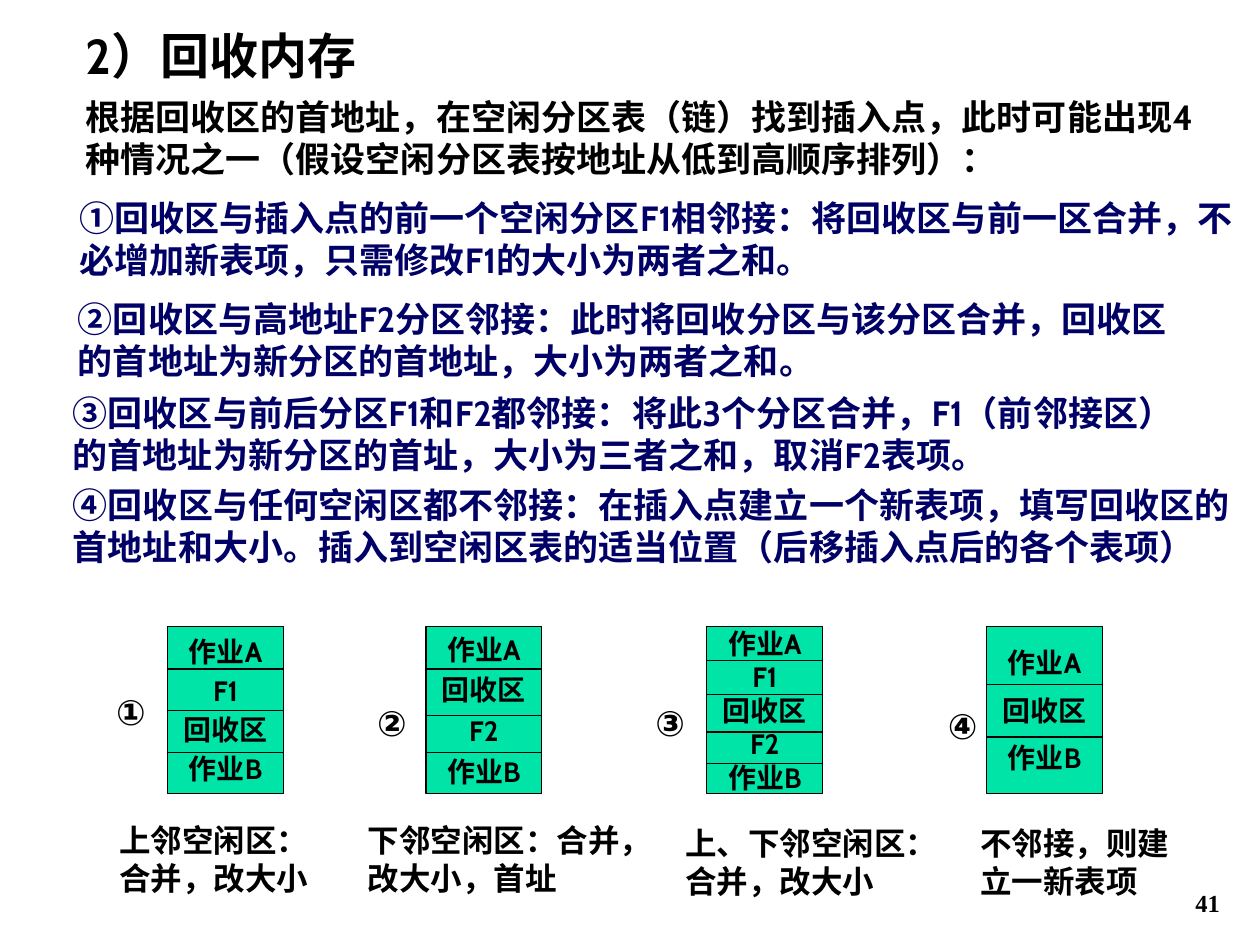
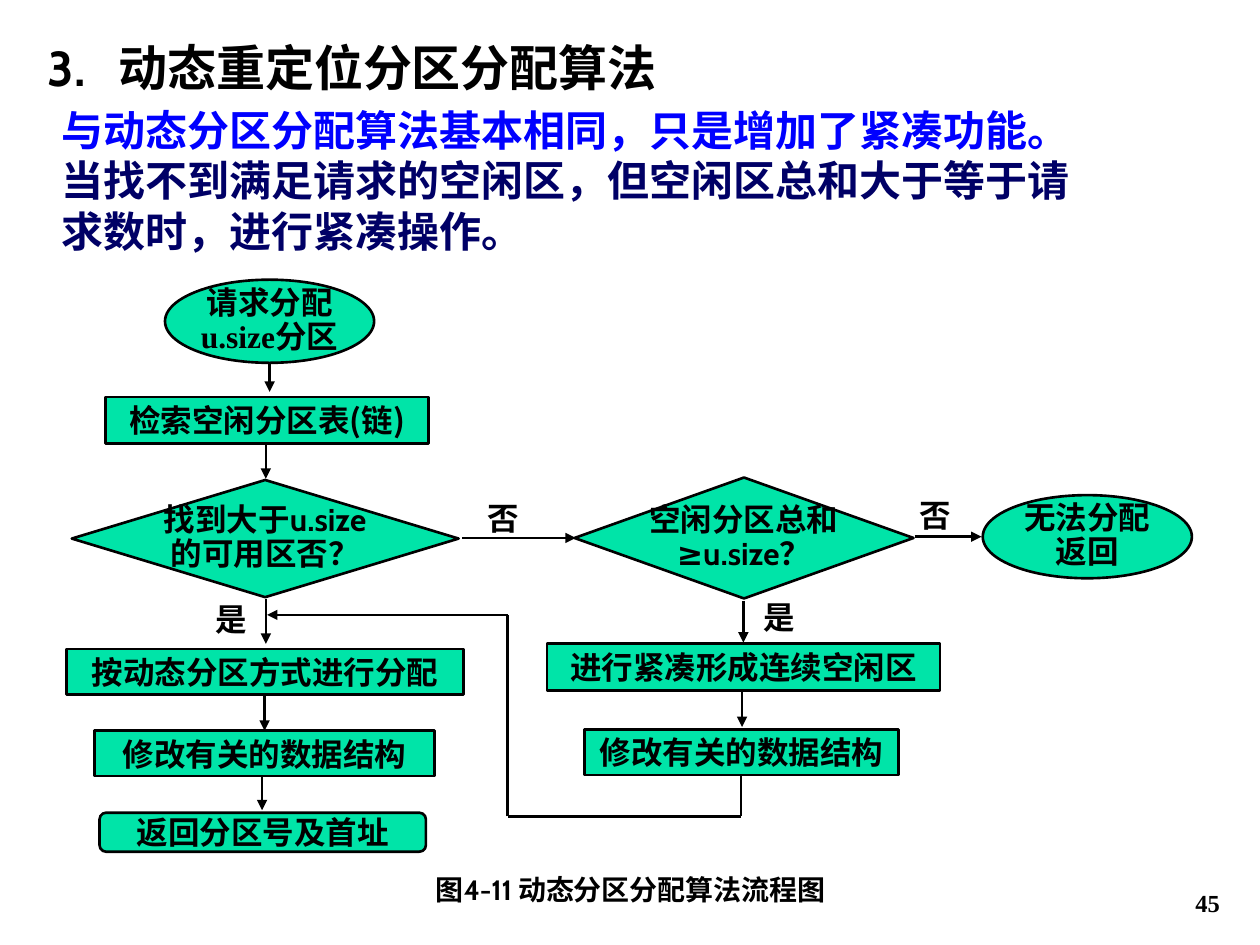
"""Build two slides on memory reclamation and relocatable partition allocation."""
from dataclasses import dataclass
from itertools import pairwise

from lxml.etree import SubElement
from pptx import Presentation
from pptx.dml.color import RGBColor
from pptx.enum.shapes import MSO_CONNECTOR, MSO_SHAPE
from pptx.enum.text import MSO_ANCHOR, MSO_AUTO_SIZE, PP_ALIGN
from pptx.oxml.ns import qn
from pptx.util import Inches, Pt


@dataclass(frozen=True)
class Theme:
    black: RGBColor = RGBColor(0, 0, 0)
    navy: RGBColor = RGBColor(0, 0, 0x66)
    blue: RGBColor = RGBColor(0, 0, 0xFF)
    green: RGBColor = RGBColor(0, 0xE4, 0xA8)
    font: str = "Cabin"
    wide_font: str = "Noto Sans CJK SC"
    serif: str = "Times New Roman"
    title: int = 28
    lead: int = 24
    body: int = 20
    label: int = 18
    small: int = 16
    number: int = 14
    thin: float = 0.75
    thick: float = 1.5


class SlideBuilder:
    def __init__(self, theme):
        self.theme = theme
        self.deck = Presentation()
        self.deck.slide_width = Inches(10)
        self.deck.slide_height = Inches(7.5)
        self.page = None

    def start_page(self, title, place, number, hanging=0):
        self.page = self.deck.slides.add_slide(self.deck.slide_layouts[5])
        box = self.page.shapes.title
        box.left, box.top, box.width, box.height = map(Inches, place)
        frame = box.text_frame
        self.add_lines(frame, [title], self.theme.title)
        frame.auto_size = MSO_AUTO_SIZE.NONE
        frame.vertical_anchor = MSO_ANCHOR.TOP
        if hanging:
            properties = frame.paragraphs[0]._p.get_or_add_pPr()
            properties.set("marL", str(Inches(hanging)))
            properties.set("indent", str(-Inches(hanging)))
        self.text([number], (7.7, 6.83, 2.08, 0.5), self.theme.number,
                  align=PP_ALIGN.RIGHT, font=self.theme.serif, anchor=MSO_ANCHOR.BOTTOM)

    def add_lines(self, frame, lines, size, color=None, align=PP_ALIGN.LEFT,
                  font=None, gap=0, spacing=1.0):
        for index, line in enumerate(lines):
            para = frame.add_paragraph() if index else frame.paragraphs[0]
            para.alignment = align
            para.line_spacing = spacing
            para.space_before = Pt(gap if index else 0)
            spans = [(line, font)] if isinstance(line, str) else line
            for words, face in spans:
                span = para.add_run()
                span.text = words
                span.font.size = Pt(size)
                span.font.bold = True
                span.font.color.rgb = color or self.theme.black
                span.font.name = face or self.theme.font
                SubElement(span.font._element, qn("a:ea"), typeface=self.theme.font)

    def set_insets(self, frame, side, end):
        frame.margin_left = frame.margin_right = Inches(side)
        frame.margin_top = frame.margin_bottom = Inches(end)

    def text(self, lines, place, size, insets=(0.1, 0.05), anchor=MSO_ANCHOR.TOP, **style):
        box = self.page.shapes.add_textbox(*map(Inches, place))
        frame = box.text_frame
        frame.word_wrap = True
        frame.vertical_anchor = anchor
        self.set_insets(frame, *insets)
        self.add_lines(frame, lines, size, **style)
        return box

    def block(self, kind, place, lines, size, weight, **style):
        shape = self.page.shapes.add_shape(kind, *map(Inches, place))
        shape.shadow.inherit = False
        shape.fill.solid()
        shape.fill.fore_color.rgb = self.theme.green
        shape.line.color.rgb = self.theme.black
        shape.line.width = Pt(weight)
        frame = shape.text_frame
        frame.word_wrap = False
        frame.vertical_anchor = MSO_ANCHOR.MIDDLE
        self.set_insets(frame, 0.02, 0)
        self.add_lines(frame, lines, size, align=PP_ALIGN.CENTER, **style)

    def line(self, start, end, weight, arrow=False):
        connector = self.page.shapes.add_connector(
            MSO_CONNECTOR.STRAIGHT, *map(Inches, (*start, *end)))
        connector.line.color.rgb = self.theme.black
        connector.line.width = Pt(weight)
        properties = connector._element.spPr
        if arrow:
            SubElement(properties.find(qn("a:ln")), qn("a:tailEnd"), type="triangle")
        SubElement(properties, qn("a:effectLst"))

    def memory_map(self, left, regions, dividers, gap, marker, marker_place):
        top, width, height = 4.97, 0.92, 1.33
        self.block(MSO_SHAPE.FLOWCHART_PROCESS, (left, top, width, height),
                   regions, self.theme.small, self.theme.thin, gap=gap)
        for level in dividers:
            self.line((left, level), (left + width, level), self.theme.thin)
        self.text([marker], (*marker_place, 0.42, 0.36), self.theme.body,
                  insets=(0.02, 0.01), align=PP_ALIGN.CENTER)


def build_reclaim_page(builder):
    theme = builder.theme
    builder.start_page("2）回收内存", (0.58, 0.15, 4.08, 0.57), "41")
    builder.text(["根据回收区的首地址，在空闲分区表（链）找到插入点，此时可能出现4"
                  "种情况之一（假设空闲分区表按地址从低到高顺序排列）："],
                 (0.58, 0.71, 9.15, 0.77), theme.body)
    cases = [
        (0.53, 1.51, 9.47, "①回收区与插入点的前一个空闲分区F1相邻接：将回收区与前一区合并，"
                           "不必增加新表项，只需修改F1的大小为两者之和。"),
        (0.52, 2.31, 8.99, "②回收区与高地址F2分区邻接：此时将回收分区与该分区合并，"
                           "回收区的首地址为新分区的首地址，大小为两者之和。"),
        (0.48, 3.06, 9.14, "③回收区与前后分区F1和F2都邻接：将此3个分区合并，"
                           "F1（前邻接区）的首地址为新分区的首址，大小为三者之和，取消F2表项。"),
        (0.48, 3.79, 9.52, "④回收区与任何空闲区都不邻接：在插入点建立一个新表项，填写回收区的"
                           "首地址和大小。插入到空闲区表的适当位置（后移插入点后的各个表项）"),
    ]
    for left, top, width, words in cases:
        builder.text([words], (left, top, width, 0.77), theme.body, color=theme.navy)

    first, last, freed = "作业A", "作业B", "回收区"
    maps = [
        (1.33, [first, "F1", freed, last], [5.31, 5.64, 5.97], 3.2, "①", (0.83, 5.47)),
        (3.38, [first, freed, "F2", last], [5.31, 5.68, 5.97], 4, "②", (2.9, 5.56)),
        (5.61, [first, "F1", freed, "F2", last], [5.24, 5.51, 5.81, 6.06], 0,
         "③", (5.11, 5.56)),
        (7.83, [first, freed, last], [5.43, 5.85], 8, "④", (7.43, 5.58)),
    ]
    for memory_map in maps:
        builder.memory_map(*memory_map)

    captions = [
        (0.85, 6.47, 1.8, "上邻空闲区：合并，改大小"),
        (2.82, 6.47, 2.33, "下邻空闲区：合并，改大小，首址"),
        (5.34, 6.49, 1.99, "上、下邻空闲区：合并，改大小"),
        (7.68, 6.49, 1.73, "不邻接，则建立一新表项"),
    ]
    for left, top, width, words in captions:
        builder.text([words], (left, top, width, 0.71), theme.label, font=theme.serif)


def build_flowchart_page(builder):
    theme = builder.theme
    builder.start_page("3.\t动态重定位分区分配算法", (0.28, 0.25, 5.96, 0.63), "45", hanging=0.56)
    lead = builder.text(["与动态分区分配算法基本相同，只是增加了紧凑功能。",
                         "当找不到满足请求的空闲区，但空闲区总和大于等于请求数时，进行紧凑操作。"],
                        (0.39, 0.78, 8.5, 1.3), theme.lead, color=theme.navy, font=theme.wide_font)
    lead.text_frame.paragraphs[0].runs[0].font.color.rgb = theme.blue

    process, decision = MSO_SHAPE.FLOWCHART_PROCESS, MSO_SHAPE.FLOWCHART_DECISION
    steps = [
        (MSO_SHAPE.OVAL, (1.31, 2.22, 1.66, 0.66),
         ["请求分配", [("u.size", theme.serif), ("分区", theme.font)]]),
        (process, (0.84, 3.15, 2.56, 0.37), [[("检索空闲分区表(链)", theme.wide_font)]]),
        (decision, (0.57, 3.81, 3.07, 0.93), ["找到大于u.size", "的可用区否？"]),
        (process, (0.53, 5.15, 3.15, 0.36), ["按动态分区方式进行分配"]),
        (process, (0.75, 5.8, 2.7, 0.36), ["修改有关的数据结构"]),
        (MSO_SHAPE.FLOWCHART_ALTERNATE_PROCESS, (0.79, 6.45, 2.59, 0.31), ["返回分区号及首址"]),
        (decision, (4.56, 3.79, 2.69, 0.96), ["空闲分区总和", "≥u.size？"]),
        (process, (4.34, 5.11, 3.12, 0.37), ["进行紧凑形成连续空闲区"]),
        (process, (4.64, 5.79, 2.49, 0.36), ["修改有关的数据结构"]),
        (MSO_SHAPE.OVAL, (7.8, 3.93, 1.66, 0.66), ["无法分配", "返回"]),
    ]
    for kind, place, lines in steps:
        builder.block(kind, place, lines, theme.label, theme.thick,
                      spacing=0.9 if len(lines) > 1 else 1.0)

    arrows = [
        ((2.14, 2.88), (2.14, 3.11)), ((2.11, 3.52), (2.11, 3.8)),
        ((2.11, 4.75), (2.11, 5.11)), ((2.1, 5.51), (2.1, 5.8)),
        ((2.08, 6.16), (2.08, 6.43)), ((3.67, 4.27), (4.57, 4.27)),
        ((5.9, 4.77), (5.9, 5.1)), ((5.89, 5.48), (5.89, 5.77)),
        ((7.26, 4.26), (7.79, 4.26)),
    ]
    for start, end in arrows:
        builder.line(start, end, theme.thick, arrow=True)
    return_route = [(5.88, 6.15), (5.88, 6.48), (4.03, 6.48), (4.03, 4.88), (2.12, 4.88)]
    for start, end in pairwise(return_route):
        builder.line(start, end, theme.thick, arrow=end == return_route[-1])

    answers = [("否", 7.17, 3.94), ("是", 1.58, 4.76), ("是", 5.93, 4.75), ("否", 3.74, 3.96)]
    for answer, left, top in answers:
        builder.text([answer], (left, top, 0.51, 0.3), theme.label,
                     insets=(0, 0), align=PP_ALIGN.CENTER)
    builder.text(["图4-11 动态分区分配算法流程图"], (3.15, 6.88, 3.71, 0.37),
                 theme.small, align=PP_ALIGN.CENTER)


def main():
    builder = SlideBuilder(Theme())
    build_reclaim_page(builder)
    build_flowchart_page(builder)
    builder.deck.save("out.pptx")


if __name__ == "__main__":
    main()
